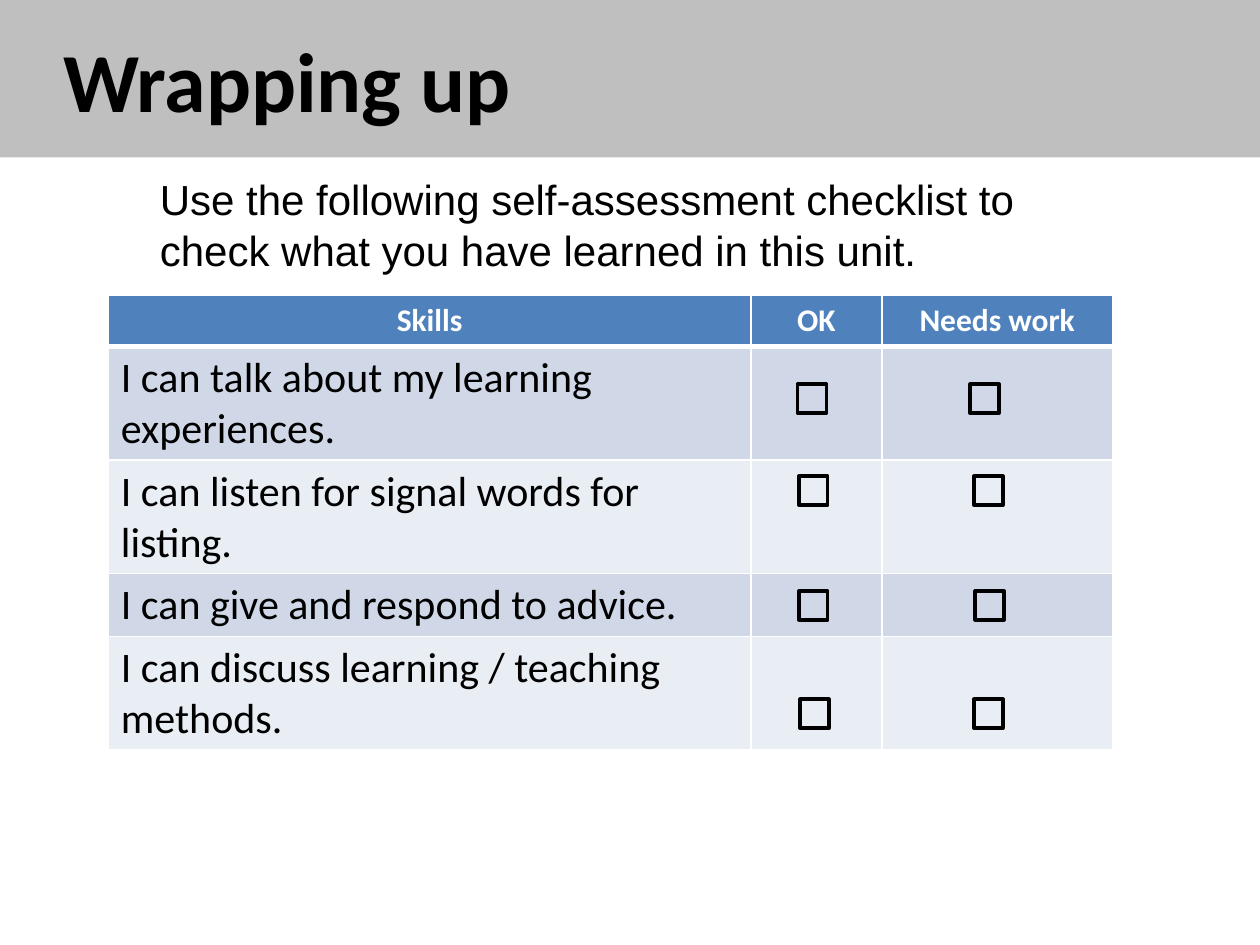
"""Build the "Wrapping up" self-assessment slide."""
import pptx
import pptx.dml.color
import pptx.enum.shapes
import pptx.enum.text
import pptx.oxml
import pptx.oxml.ns
import pptx.util

Inches = pptx.util.Inches
Pt = pptx.util.Pt
ALIGN = pptx.enum.text.PP_ALIGN

TITLE = "Wrapping up"
INSTRUCTION = "Use the following self-assessment checklist to check what you have learned in this unit."
HEADERS = ["Skills", "OK", "Needs work"]
COLUMN_WIDTHS = [5.1, 1.04, 1.83]
HEADER_HEIGHT = 0.41
SKILLS = [
    {"text": "I can talk about my learning experiences.", "height": 0.9, "box_top": 3.05, "box_lefts": (6.33, 7.7)},
    {"text": "I can listen for signal words for listing.", "height": 0.9, "box_top": 3.78, "box_lefts": (6.34, 7.73)},
    {"text": "I can give and respond to advice.", "height": 0.5, "box_top": 4.69, "box_lefts": (6.34, 7.74)},
    {"text": "I can discuss learning / teaching methods.", "height": 0.9, "box_top": 5.55, "box_lefts": (6.35, 7.73)},
]
BOX_SIZE = 0.23
BAND_FILLS = ["D0D8E8", "E9EDF4"]


def set_color(color_format, value):
    color_format.rgb = pptx.dml.color.RGBColor.from_string(value)


def set_fill(target, value):
    target.fill.solid()
    set_color(target.fill.fore_color, value)


def format_paragraph(paragraph, name, size, color, bold=False, alignment=ALIGN.LEFT):
    paragraph.alignment = alignment
    font = paragraph.font
    font.name, font.size, font.bold = name, Pt(size), bold
    set_color(font.color, color)


def set_borders(cell, bottom_width):
    properties = cell._tc.get_or_add_tcPr()
    for side, width in (("L", 1), ("R", 1), ("T", 1), ("B", bottom_width)):
        properties.append(pptx.oxml.parse_xml(
            f'<a:ln{side} {pptx.oxml.ns.nsdecls("a")} w="{Pt(width)}">'
            f'<a:solidFill><a:srgbClr val="FFFFFF"/></a:solidFill></a:ln{side}>'))


def add_title(slide):
    title = slide.shapes.title
    title.left, title.top, title.width, title.height = (Inches(value) for value in (0, 0, 10, 1.25))
    set_fill(title, "BFBFBF")
    frame = title.text_frame
    frame.text = TITLE
    frame.auto_size = pptx.enum.text.MSO_AUTO_SIZE.NONE
    frame.vertical_anchor = pptx.enum.text.MSO_ANCHOR.MIDDLE
    paragraph = frame.paragraphs[0]
    paragraph._p.get_or_add_pPr().set("indent", str(Inches(0.4)))
    format_paragraph(paragraph, "Calibri", 48, "000000", bold=True)


def add_instruction(slide):
    text_box = slide.shapes.add_textbox(Inches(1.17), Inches(1.33), Inches(7.58), Inches(0.91))
    frame = text_box.text_frame
    frame.word_wrap = True
    frame.auto_size = pptx.enum.text.MSO_AUTO_SIZE.SHAPE_TO_FIT_TEXT
    frame.text = INSTRUCTION
    format_paragraph(frame.paragraphs[0], "Arial", 24, "000000")


def add_checklist(slide):
    heights = [HEADER_HEIGHT] + [skill["height"] for skill in SKILLS]
    table = slide.shapes.add_table(
        len(heights), len(HEADERS), Inches(0.86), Inches(2.34),
        Inches(sum(COLUMN_WIDTHS)), Inches(sum(heights))).table
    for column, width in zip(table.columns, COLUMN_WIDTHS):
        column.width = Inches(width)
    for row_index, height in enumerate(heights):
        table.rows[row_index].height = Inches(height)
        is_header = row_index == 0
        for column_index, header in enumerate(HEADERS):
            cell = table.cell(row_index, column_index)
            set_borders(cell, 3 if is_header else 1)
            set_fill(cell, "4F81BD" if is_header else BAND_FILLS[(row_index - 1) % 2])
            if is_header:
                cell.text = header
                format_paragraph(cell.text_frame.paragraphs[0], "Calibri", 18, "FFFFFF", True, ALIGN.CENTER)
            elif column_index == 0:
                cell.text = SKILLS[row_index - 1]["text"]
                format_paragraph(cell.text_frame.paragraphs[0], "Calibri", 24, "000000")


def add_checkboxes(slide):
    for skill in SKILLS:
        for left in skill["box_lefts"]:
            box = slide.shapes.add_shape(
                pptx.enum.shapes.MSO_SHAPE.RECTANGLE, Inches(left), Inches(skill["box_top"]),
                Inches(BOX_SIZE), Inches(BOX_SIZE))
            box.shadow.inherit = False
            box.fill.background()
            set_color(box.line.color, "000000")
            box.line.width = Pt(2)


def main():
    presentation = pptx.Presentation()
    presentation.slide_width, presentation.slide_height = Inches(10), Inches(7.5)
    slide = presentation.slides.add_slide(presentation.slide_layouts[5])
    add_title(slide)
    add_instruction(slide)
    add_checklist(slide)
    add_checkboxes(slide)
    presentation.save("out.pptx")


if __name__ == "__main__":
    main()
